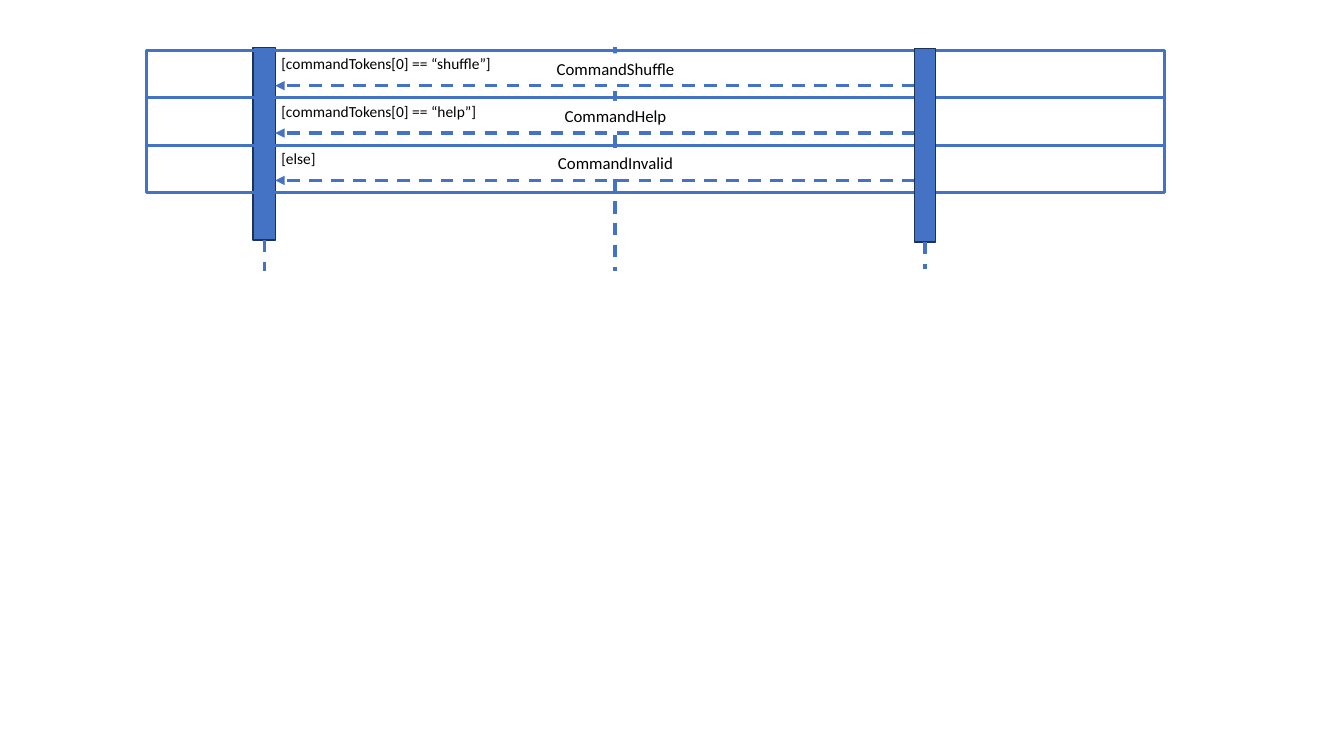
from dataclasses import dataclass

from pptx import Presentation
from pptx.dml.color import RGBColor
from pptx.enum.dml import MSO_LINE
from pptx.enum.shapes import MSO_CONNECTOR, MSO_SHAPE
from pptx.enum.text import MSO_ANCHOR, PP_ALIGN
from pptx.oxml.ns import qn
from pptx.shapes.autoshape import Shape
from pptx.shapes.connector import Connector
from pptx.shapes.shapetree import GroupShapes, SlideShapes
from pptx.util import Inches, Pt
from lxml import etree

RECTANGLE = MSO_SHAPE.RECTANGLE
STRAIGHT = MSO_CONNECTOR.STRAIGHT
DASH = MSO_LINE.DASH
LEFT, CENTER = PP_ALIGN.LEFT, PP_ALIGN.CENTER
TOP, MIDDLE = MSO_ANCHOR.TOP, MSO_ANCHOR.MIDDLE
BOTTOM_SITE = 2


@dataclass(frozen=True)
class Theme:
    blue: RGBColor = RGBColor(0x44, 0x72, 0xC4)
    navy: RGBColor = RGBColor(0x1E, 0x32, 0x56)
    white: RGBColor = RGBColor(0xFF, 0xFF, 0xFF)
    black: RGBColor = RGBColor(0x00, 0x00, 0x00)
    font: str = "Calibri"
    message_size: float = 12
    guard_size: float = 11
    line_width: float = 2.25
    bar_line_width: float = 1


@dataclass(frozen=True)
class Box:
    left: float
    top: float
    width: float
    height: float


@dataclass(frozen=True)
class Branch:
    guard: str
    message: str


THEME = Theme()
CALLER_BAR = Box(2.51, 0.47, 0.22, 1.91)
PARSER_BAR = Box(9.07, 0.48, 0.21, 1.92)
FRAME = Box(1.45, 0.5, 10.1, 0.47)
BRANCHES = (
    Branch("[commandTokens[0] == “shuffle”]", "CommandShuffle"),
    Branch("[commandTokens[0] == “help”]", "CommandHelp"),
    Branch("[else]", "CommandInvalid"),
)


def add_rectangle(shapes: SlideShapes | GroupShapes, box: Box,
                  fill: RGBColor | None, line: RGBColor | None,
                  line_width: float = THEME.line_width) -> Shape:
    shape = shapes.add_shape(RECTANGLE, Inches(box.left), Inches(box.top),
                             Inches(box.width), Inches(box.height))
    shape.shadow.inherit = False
    if fill is None:
        shape.fill.background()
    else:
        shape.fill.solid()
        shape.fill.fore_color.rgb = fill
    if line is None:
        shape.line.fill.background()
    else:
        shape.line.color.rgb = line
        shape.line.width = Pt(line_width)
    return shape


def add_bar(shapes: SlideShapes, box: Box) -> Shape:
    return add_rectangle(shapes, box, THEME.blue, THEME.navy,
                         THEME.bar_line_width)


def add_dashed_line(shapes: SlideShapes | GroupShapes, x1: float, y1: float,
                    x2: float, y2: float, arrow: bool = False) -> Connector:
    connector = shapes.add_connector(STRAIGHT, Inches(x1), Inches(y1),
                                     Inches(x2), Inches(y2))
    connector.line.color.rgb = THEME.blue
    connector.line.width = Pt(THEME.line_width)
    connector.line.dash_style = DASH
    if arrow:
        line = connector.line._get_or_add_ln()
        etree.SubElement(line, qn("a:tailEnd"), type="triangle")
    etree.SubElement(connector._element.spPr, qn("a:effectLst"))
    return connector


def add_lifeline(shapes: SlideShapes, bar: Shape, box: Box,
                 bottom: float) -> None:
    center = box.left + box.width / 2
    lifeline = add_dashed_line(shapes, center, box.top + box.height,
                               center, bottom)
    lifeline.begin_connect(bar, BOTTOM_SITE)


def write_text(shape: Shape, text: str, size: float, alignment: PP_ALIGN,
               anchor: MSO_ANCHOR) -> None:
    frame = shape.text_frame
    frame.word_wrap = True
    frame.vertical_anchor = anchor
    paragraph = frame.paragraphs[0]
    paragraph.alignment = alignment
    run = paragraph.add_run()
    run.text = text
    run.font.name = THEME.font
    run.font.size = Pt(size)
    run.font.color.rgb = THEME.black


def add_branch(shapes: SlideShapes, branch: Branch, top: float) -> None:
    parts = shapes.add_group_shape().shapes
    add_rectangle(parts, Box(FRAME.left, top, FRAME.width, FRAME.height),
                  None, THEME.blue)

    # Guard condition, indented past the caller's bar
    guard = parts.add_textbox(Inches(FRAME.left), Inches(top - 0.02),
                              Inches(4.86), Inches(0.3))
    guard.text_frame.margin_left = Inches(1.34)
    guard.text_frame.margin_top = Inches(0.06)
    write_text(guard, branch.guard, THEME.guard_size, LEFT, TOP)

    # Return arrow and its message
    arrow_y = top + 0.35
    add_dashed_line(parts, PARSER_BAR.left, arrow_y,
                    CALLER_BAR.left + CALLER_BAR.width, arrow_y, arrow=True)
    message = add_rectangle(parts, Box(5.42, top + 0.03, 1.37, 0.3),
                            THEME.white, None)
    write_text(message, branch.message, THEME.message_size, CENTER, MIDDLE)


def main() -> None:
    presentation = Presentation()
    presentation.slide_width = Inches(13.33)
    presentation.slide_height = Inches(7.5)
    slide = presentation.slides.add_slide(presentation.slide_layouts[6])
    shapes = slide.shapes

    # Middle lifeline and caller
    add_dashed_line(shapes, 6.1, 0.47, 6.1, 2.69)
    caller = add_bar(shapes, CALLER_BAR)
    add_lifeline(shapes, caller, CALLER_BAR, 2.69)

    # Alternative branches, stacked
    for index, branch in enumerate(BRANCHES):
        add_branch(shapes, branch, FRAME.top + index * FRAME.height)

    # Parser, in front of the frames
    parser = add_bar(shapes, PARSER_BAR)
    add_lifeline(shapes, parser, PARSER_BAR, 2.67)

    presentation.save("out.pptx")


if __name__ == "__main__":
    main()
